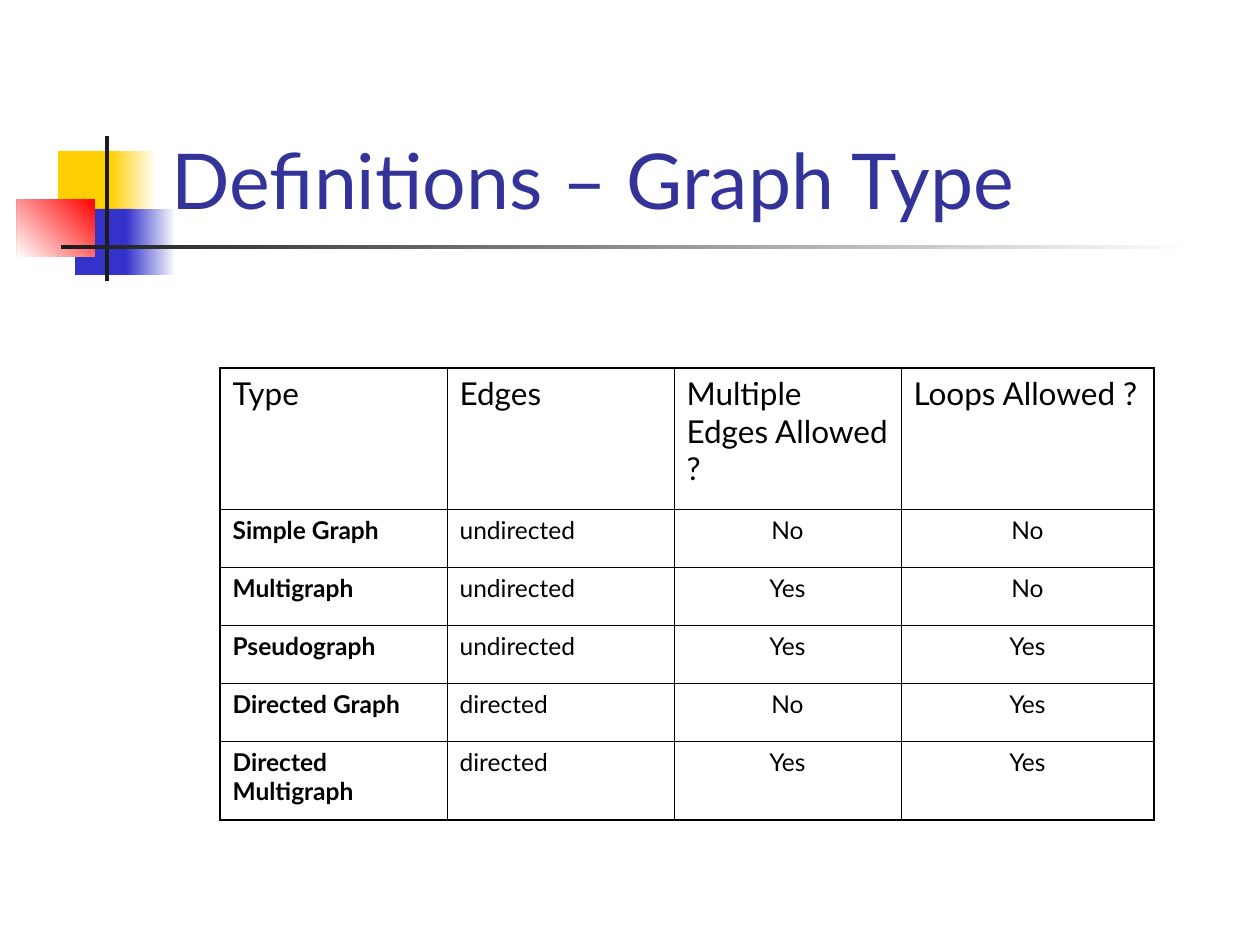
from dataclasses import dataclass

from lxml import etree
from pptx import Presentation
from pptx.dml.color import RGBColor
from pptx.enum.shapes import MSO_SHAPE
from pptx.enum.text import MSO_ANCHOR, MSO_AUTO_SIZE, PP_ALIGN
from pptx.oxml.ns import qn
from pptx.util import Pt

RECT = MSO_SHAPE.RECTANGLE
LEFT, CENTER = PP_ALIGN.LEFT, PP_ALIGN.CENTER
BOTTOM = MSO_ANCHOR.BOTTOM
NO_FIT = MSO_AUTO_SIZE.NONE
SCALE = 914400 / 126
TITLE_ONLY = 5


@dataclass(frozen=True)
class Theme:
    font: str = "Lato"
    title: str = "333399"
    ink: str = "000000"
    white: str = "FFFFFF"
    gold: str = "FFCF01"
    blue: str = "3333CC"
    red: str = "FF0000"
    bar: str = "1C1C1C"
    title_size: int = 44
    head_size: int = 18
    body_size: int = 14
    outer: float = 1.08
    inner: float = 0.45


THEME = Theme()

# left, top, width, height, colours (one solid, two a gradient), angle
BLOCKS = [
    (58, 151, 60, 66, [THEME.gold], 0),
    (110, 151, 46, 66, [THEME.white, THEME.gold], 180),
    (75, 209, 58, 66, [THEME.blue], 0),
    (126, 209, 50, 66, [THEME.white, THEME.blue], 180),
    (17, 199, 78, 58, [THEME.red, THEME.white], 225),
    (105, 136, 4, 145, [THEME.bar], 0),
    (61, 245, 1134, 4, [THEME.white, THEME.bar], 180),
]

ROWS = [
    ["Type", "Edges", "Multiple Edges Allowed ?", "Loops Allowed ?"],
    ["Simple Graph", "undirected", "No", "No"],
    ["Multigraph", "undirected", "Yes", "No"],
    ["Pseudograph", "undirected", "Yes", "Yes"],
    ["Directed Graph", "directed", "No", "Yes"],
    ["Directed Multigraph", "directed", "Yes", "Yes"],
]
WIDTHS = [227, 227, 227, 253]
HEIGHTS = [141, 58, 58, 58, 58, 79]


def px(n):
    return round(n * SCALE)


def style(para, size, color, align=LEFT, bold=False):
    para.alignment = align
    for run in para.runs:
        font = run.font
        font.name, font.size, font.bold = THEME.font, Pt(size), bold
        font.color.rgb = RGBColor.from_string(color)


def add_block(slide, left, top, width, height, colors, angle):
    shape = slide.shapes.add_shape(RECT, px(left), px(top), px(width), px(height))
    shape.shadow.inherit = False
    shape.line.fill.background()
    if len(colors) == 1:
        shape.fill.solid()
        shape.fill.fore_color.rgb = RGBColor.from_string(colors[0])
        return
    shape.fill.gradient()
    shape.fill.gradient_angle = angle
    for stop, pos, color in zip(shape.fill.gradient_stops, (0, 1), colors):
        stop.position = pos
        stop.color.rgb = RGBColor.from_string(color)


def set_title(slide, text):
    title = slide.shapes.title
    title.left, title.top, title.width, title.height = map(px, (159, 29, 1074, 202))
    frame = title.text_frame
    frame.text = text
    frame.word_wrap = True
    frame.auto_size = NO_FIT
    frame.vertical_anchor = BOTTOM
    style(frame.paragraphs[0], THEME.title_size, THEME.title)


def set_edges(cell, outer):
    """Draw four borders; outer tells, by side, which lie on the table's rim."""
    props = cell._tc.get_or_add_tcPr()
    for side, rim in outer.items():
        width = THEME.outer if rim else THEME.inner
        line = etree.SubElement(props, qn(f"a:ln{side}"), w=str(Pt(width)))
        fill = etree.SubElement(line, qn("a:solidFill"))
        etree.SubElement(fill, qn("a:srgbClr"), val=THEME.ink)


def add_grid(slide, left, top):
    last_row, last_col = len(HEIGHTS) - 1, len(WIDTHS) - 1
    table = slide.shapes.add_table(
        len(HEIGHTS), len(WIDTHS), px(left), px(top),
        px(sum(WIDTHS)), px(sum(HEIGHTS))).table
    table.first_row = table.horz_banding = False
    for col, width in zip(table.columns, WIDTHS):
        col.width = px(width)
    for row, height in zip(table.rows, HEIGHTS):
        row.height = px(height)
    for r, texts in enumerate(ROWS):
        for c, text in enumerate(texts):
            cell = table.cell(r, c)
            set_edges(cell, {"L": c == 0, "R": c == last_col,
                             "T": r == 0, "B": r == last_row})
            cell.fill.background()
            cell.text_frame.text = text
            body = r > 0
            style(cell.text_frame.paragraphs[0],
                  THEME.body_size if body else THEME.head_size, THEME.ink,
                  CENTER if body and c > 1 else LEFT, body and c == 0)


def main():
    deck = Presentation()
    deck.slide_width, deck.slide_height = px(1260), px(945)
    slide = deck.slides.add_slide(deck.slide_layouts[TITLE_ONLY])
    for block in BLOCKS:
        add_block(slide, *block)
    set_title(slide, "Definitions – Graph Type")
    add_grid(slide, 220, 368)
    deck.save("out.pptx")


if __name__ == "__main__":
    main()
